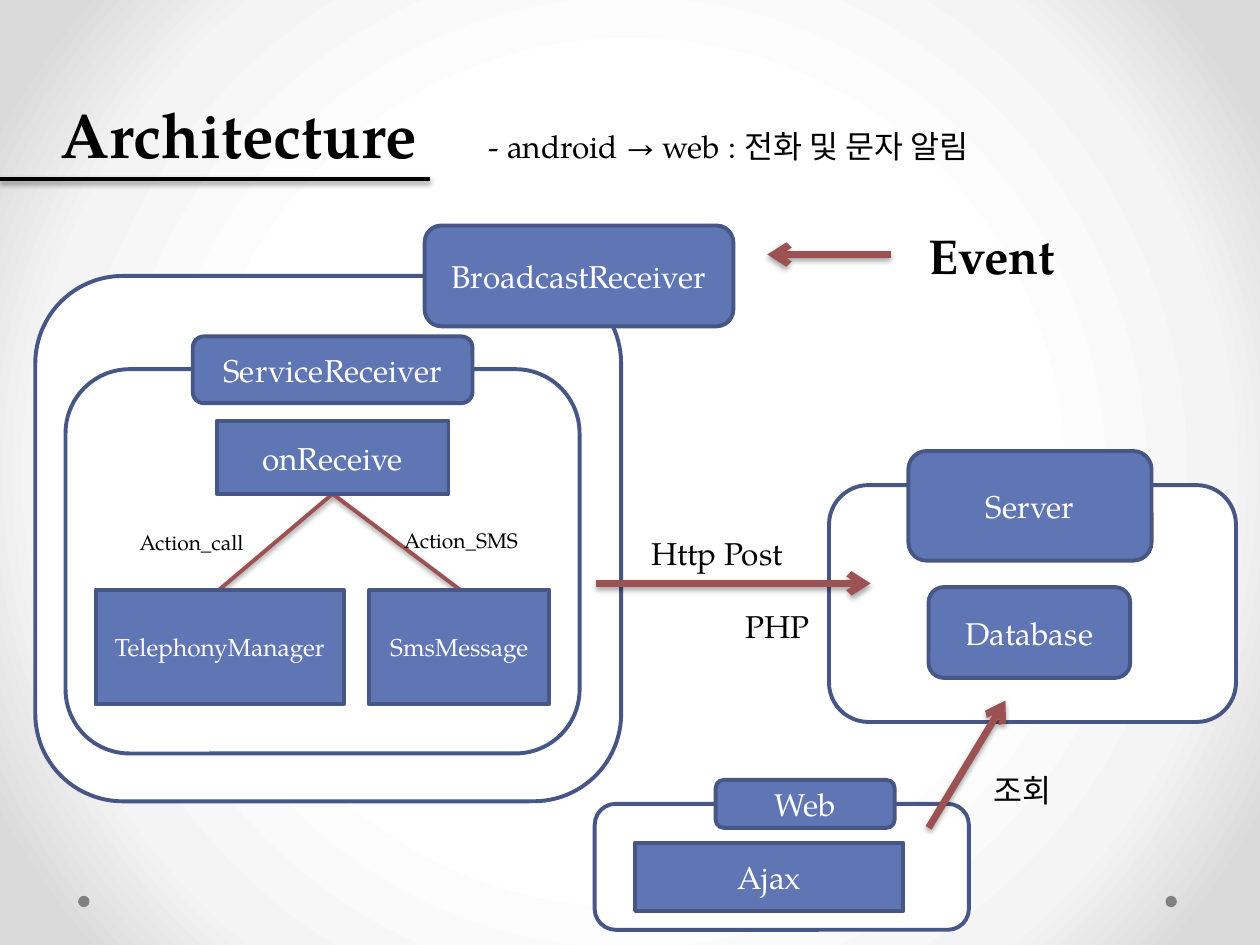
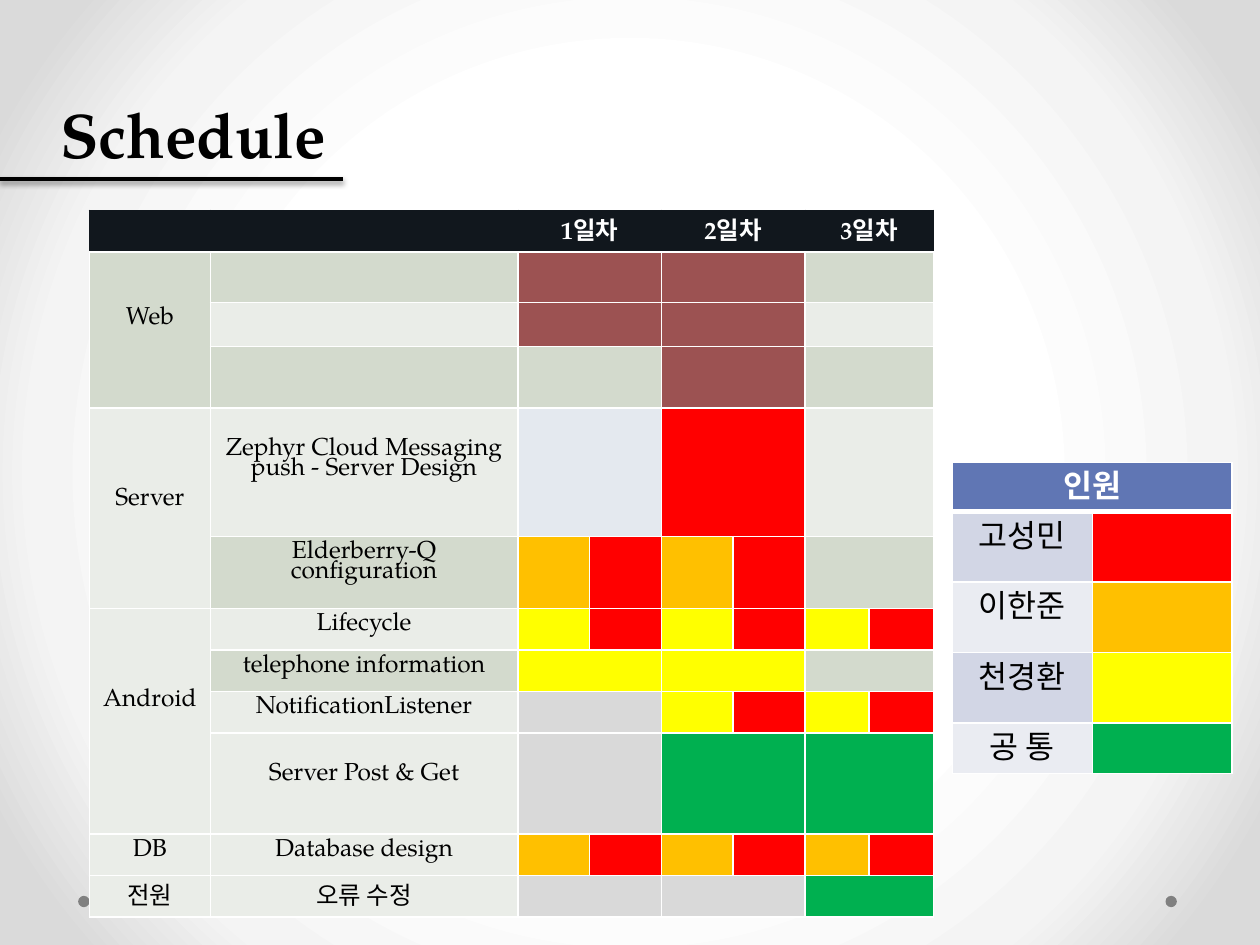
from itertools import accumulate

from lxml import etree
from pptx import Presentation
from pptx.dml.color import RGBColor
from pptx.enum import shapes as sh, text as tx
from pptx.oxml import ns
from pptx.util import Emu, Inches, Pt

FONT = "TeX Gyre Pagella"
BLACK = RGBColor(0, 0, 0)
WHITE = RGBColor(255, 255, 255)
BLUE = RGBColor(0x60, 0x76, 0xB4)
NAVY = RGBColor(0x47, 0x57, 0x85)
MAROON = RGBColor(0x9C, 0x52, 0x52)
GREY = RGBColor(0x80, 0x80, 0x80)
DARK = RGBColor(0x11, 0x17, 0x1D)
SAGE = RGBColor(0xD3, 0xDA, 0xCD)
PALE = RGBColor(0xEA, 0xED, 0xE8)
MIST = RGBColor(0xE4, 0xE9, 0xEF)
SILVER = RGBColor(0xD9, 0xD9, 0xD9)
RED = RGBColor(0xFF, 0, 0)
ORANGE = RGBColor(0xFF, 0xC0, 0)
YELLOW = RGBColor(0xFF, 0xFF, 0)
GREEN = RGBColor(0, 0xB0, 0x50)
BANDS = RGBColor(0xD2, 0xD6, 0xE5), RGBColor(0xEA, 0xEC, 0xF2)

GLOW = (50, "FFFFFF"), (76, "F4F4F4"), (92, "DADADA")
DOTS = 0.62, 9.25
ROUND, RECT = sh.MSO_SHAPE.ROUNDED_RECTANGLE, sh.MSO_SHAPE.RECTANGLE

# Slide 1: boxes are left, top, width, height
PANELS = [
    ((6.58, 3.85, 3.23, 1.88), WHITE),
    ((0.28, 2.19, 4.65, 4.17), WHITE),
    ((0.52, 2.93, 4.08, 3.05), None),
    ((4.72, 6.38, 2.97, 1), WHITE),
]
BLOCKS = [
    ("Server", ROUND, 18, (7.21, 3.58, 1.93, 0.87)),
    ("Database", ROUND, 18, (7.37, 4.66, 1.6, 0.72)),
    ("BroadcastReceiver", ROUND, 18, (3.37, 1.79, 2.45, 0.8)),
    ("ServiceReceiver", ROUND, 18, (1.53, 2.67, 2.22, 0.53)),
    ("onReceive", RECT, 18, (1.72, 3.34, 1.84, 0.58)),
    ("TelephonyManager", RECT, 14, (0.76, 4.68, 1.97, 0.91)),
    ("SmsMessage", RECT, 14, (2.93, 4.68, 1.43, 0.91)),
    ("Web", ROUND, 18, (5.68, 6.19, 1.42, 0.38)),
    ("Ajax", RECT, 18, (5.04, 6.69, 2.13, 0.54)),
]
FORKS = [(2.64, 3.92, 1.74, 4.68), (2.64, 3.92, 3.65, 4.68)]
ARROWS = [
    (7.07, 2.02, 6.09, 2.02),
    (4.73, 4.63, 6.91, 4.63),
    (7.37, 6.57, 7.98, 5.56),
]
LABELS = [
    ("- android → web : 전화 및 문자 알림", 18, False, (3.78, 0.96, 4.29, 0.4)),
    ("Action_call", 12, False, (1.01, 4.15, 1.04, 0.3)),
    ("Action_SMS", 12, False, (3.11, 4.14, 1.12, 0.3)),
    ("Event", 28, True, (7.27, 1.74, 1.23, 0.57)),
    ("Http Post", 18, False, (5.07, 4.19, 1.27, 0.4)),
    ("PHP", 18, False, (5.82, 4.77, 0.72, 0.4)),
    ("조회", 18, False, (7.79, 6.07, 0.71, 0.4)),
]

# Slide 2
DAYS = "1일차", "2일차", "3일차"
COLS = 0.96, 2.44, 0.57, 0.57, 0.57, 0.57, 0.51, 0.51
LINE = 0.2
# area, its fill, rows spanned, lines of space above
AREAS = [("Web", SAGE, 3, 2), ("Server", PALE, 2, 3), ("Android", PALE, 4, 3),
         ("DB", PALE, 1, 0), ("전원", PALE, 1, 0)]
# height, task lines, lines of space above, fill, owners of each day
TASKS = [
    (0.4, [], 0, SAGE, [[MAROON], [MAROON], [SAGE]]),
    (0.35, [], 0, PALE, [[MAROON], [MAROON], [PALE]]),
    (0.49, [], 0, SAGE, [[SAGE], [MAROON], [SAGE]]),
    (1.02, ["Zephyr Cloud Messaging", "push - Server Design"], 1, PALE,
     [[MIST], [RED], [PALE]]),
    (0.57, ["Elderberry-Q configuration"], 0, SAGE,
     [[ORANGE, RED], [ORANGE, RED], [SAGE]]),
    (0.33, ["Lifecycle"], 0, PALE, [[YELLOW, RED]] * 3),
    (0.33, ["telephone information"], 0, SAGE, [[YELLOW], [YELLOW], [SAGE]]),
    (0.33, ["NotificationListener"], 0, PALE,
     [[SILVER], [YELLOW, RED], [YELLOW, RED]]),
    (0.8, ["Server Post & Get"], 1, PALE, [[SILVER], [GREEN], [GREEN]]),
    (0.33, ["Database design"], 0, PALE, [[ORANGE, RED]] * 3),
    (0.33, ["오류 수정"], 0, PALE, [[SILVER], [SILVER], [GREEN]]),
]
TEAM = [("고성민", RED, 0.56), ("이한준", ORANGE, 0.56),
        ("천경환", YELLOW, 0.56), ("공 통", GREEN, 0.4)]


def node(up, tag, **attrs):
    return etree.SubElement(up, ns.qn(tag), {k: str(v) for k, v in attrs.items()})


def inch(vals):
    return [Inches(v) for v in vals]


def write(para, words, size, color, bold=False):
    run = para.add_run()
    run.text = words
    font = run.font
    font.name, font.size, font.bold = FONT, Pt(size), bold
    font.color.rgb = color


def shape(slide, kind, box, fill, line=None):
    item = slide.shapes.add_shape(kind, *inch(box))
    item.shadow.inherit = False
    if fill is None:
        item.fill.background()
    else:
        item.fill.solid()
        item.fill.fore_color.rgb = fill
    if line is None:
        item.line.fill.background()
    else:
        item.line.color.rgb = line
        item.line.width = Pt(2.25)
    return item


def label(slide, words, size, bold, box):
    frame = slide.shapes.add_textbox(*inch(box)).text_frame
    frame.word_wrap = False
    write(frame.paragraphs[0], words, size, BLACK, bold)


def wire(slide, ends, color, arrow=False):
    """Straight line with a soft shadow, optionally a thick arrow."""
    item = slide.shapes.add_connector(sh.MSO_CONNECTOR.STRAIGHT, *inch(ends))
    item.line.color.rgb = color
    item.line.width = Pt(4 if arrow else 2.25)
    if arrow:
        node(item.line._get_or_add_ln(), "a:tailEnd", type="arrow")
    effects = node(item._element.spPr, "a:effectLst")
    cast = node(effects, "a:outerShdw", blurRad=Pt(3.1),
                dist=Pt(1.8 if arrow else 1.6), dir=5400000, rotWithShape=0)
    tint = node(cast, "a:srgbClr", val=BLACK)
    node(tint, "a:alpha", val=35000 if arrow else 38000)


def page(prs, title, rule):
    """Slide with the glow, the two dots and the underlined title."""
    slide = prs.slides.add_slide(prs.slide_layouts[6])
    slide.background.fill.gradient()
    grad = next(slide.element.iter(ns.qn("a:gradFill")))
    for part in list(grad):
        grad.remove(part)
    stops = node(grad, "a:gsLst")
    for pos, color in GLOW:
        node(node(stops, "a:gs", pos=pos * 1000), "a:srgbClr", val=color)
    way = node(grad, "a:path", path="circle")
    node(way, "a:fillToRect", **dict.fromkeys("ltrb", 50000))
    for left in DOTS:
        shape(slide, sh.MSO_SHAPE.OVAL, (left, 7.11, 0.09, 0.09), GREY)
    label(slide, title, 36, True, (0.38, 0.71, rule - 0.36, 1.31))
    wire(slide, (0, 1.42, rule, 1.42), BLACK)
    return slide


def grid(slide, left, top, cols, rows):
    size = inch((left, top, sum(cols), sum(rows)))
    table = slide.shapes.add_table(len(rows), len(cols), *size).table
    table.first_row = table.horz_banding = False
    for col, width in zip(table.columns, cols):
        col.width = Inches(width)
    for row, height in zip(table.rows, rows):
        row.height = Inches(height)
    for cell in table.iter_cells():
        node(cell.text_frame.paragraphs[0]._p, "a:endParaRPr", sz=1200)
    return table


def paint(table, row, col, fill, lines=(), size=14, color=BLACK, bold=False,
          span=(1, 1), above=0, edge=WHITE, sides="LRTB", base=1):
    """Fill one cell or merged block; base is the width of its lower border."""
    first = table.cell(row, col)
    if span != (1, 1):
        first.merge(table.cell(row + span[0] - 1, col + span[1] - 1))
    for r in range(row, row + span[0]):
        for c in range(col, col + span[1]):
            cell = table.cell(r, c)
            props = cell._tc.get_or_add_tcPr()
            for side in sides:
                line = node(props, "a:ln" + side, w=Pt(base if side == "B" else 1))
                node(node(line, "a:solidFill"), "a:srgbClr", val=edge)
            cell.fill.solid()
            cell.fill.fore_color.rgb = fill
    first.margin_top = Inches(0.05 + above * LINE)
    frame = first.text_frame
    for i, words in enumerate(lines):
        para = frame.add_paragraph() if i else frame.paragraphs[0]
        para.alignment = tx.PP_ALIGN.CENTER
        para.line_spacing = 0.8
        write(para, words, size, color, bold)


def design(prs):
    slide = page(prs, "Architecture", 3.41)
    for box, fill in PANELS:
        shape(slide, ROUND, box, fill, NAVY)
    for ends in FORKS:
        wire(slide, ends, MAROON)
    for words, kind, size, box in BLOCKS:
        frame = shape(slide, kind, box, BLUE, NAVY).text_frame
        frame.vertical_anchor = tx.MSO_ANCHOR.MIDDLE
        para = frame.paragraphs[0]
        para.alignment = tx.PP_ALIGN.CENTER
        write(para, words, size, WHITE)
    for ends in ARROWS:
        wire(slide, ends, MAROON, arrow=True)
    for item in LABELS:
        label(slide, *item)


def plan(prs):
    slide = page(prs, "Schedule", 2.72)
    table = grid(slide, 0.71, 1.67, COLS, [0.33] + [task[0] for task in TASKS])
    for col in 0, 1:
        paint(table, 0, col, DARK, edge=DARK)
    for i, day in enumerate(DAYS):
        paint(table, 0, 2 + 2 * i, DARK, [day], color=WHITE, bold=True,
              span=(1, 2), edge=DARK)
    starts = accumulate((area[2] for area in AREAS), initial=1)
    for row, (name, fill, count, above) in zip(starts, AREAS):
        paint(table, row, 0, fill, [name], span=(count, 1), above=above,
              sides="LRB" if row == 1 else "LRTB")
    for row, (_, lines, above, fill, days) in enumerate(TASKS, 1):
        sides = "LRB" if row == 1 else "LRTB"
        paint(table, row, 1, fill, lines, above=above, sides=sides)
        for i, owners in enumerate(days):
            wide = 2 // len(owners)
            for j, color in enumerate(owners):
                paint(table, row, 2 + 2 * i + j, color, span=(1, wide), sides=sides)

    team = grid(slide, 7.56, 3.67, (1.11, 1.11), [0.39] + [who[2] for who in TEAM])
    paint(team, 0, 0, BLUE, ["인원"], 18, WHITE, True, span=(1, 2), base=3)
    for row, (name, color, _) in enumerate(TEAM, 1):
        sides = "LRB" if row == 1 else "LRTB"
        paint(team, row, 0, BANDS[(row - 1) % 2], [name], 18, sides=sides)
        paint(team, row, 1, color, sides=sides)


def main():
    prs = Presentation()
    prs.slide_width, prs.slide_height = Inches(10), Inches(7.5)
    design(prs)
    plan(prs)
    prs.save("out.pptx")


if __name__ == "__main__":
    main()
